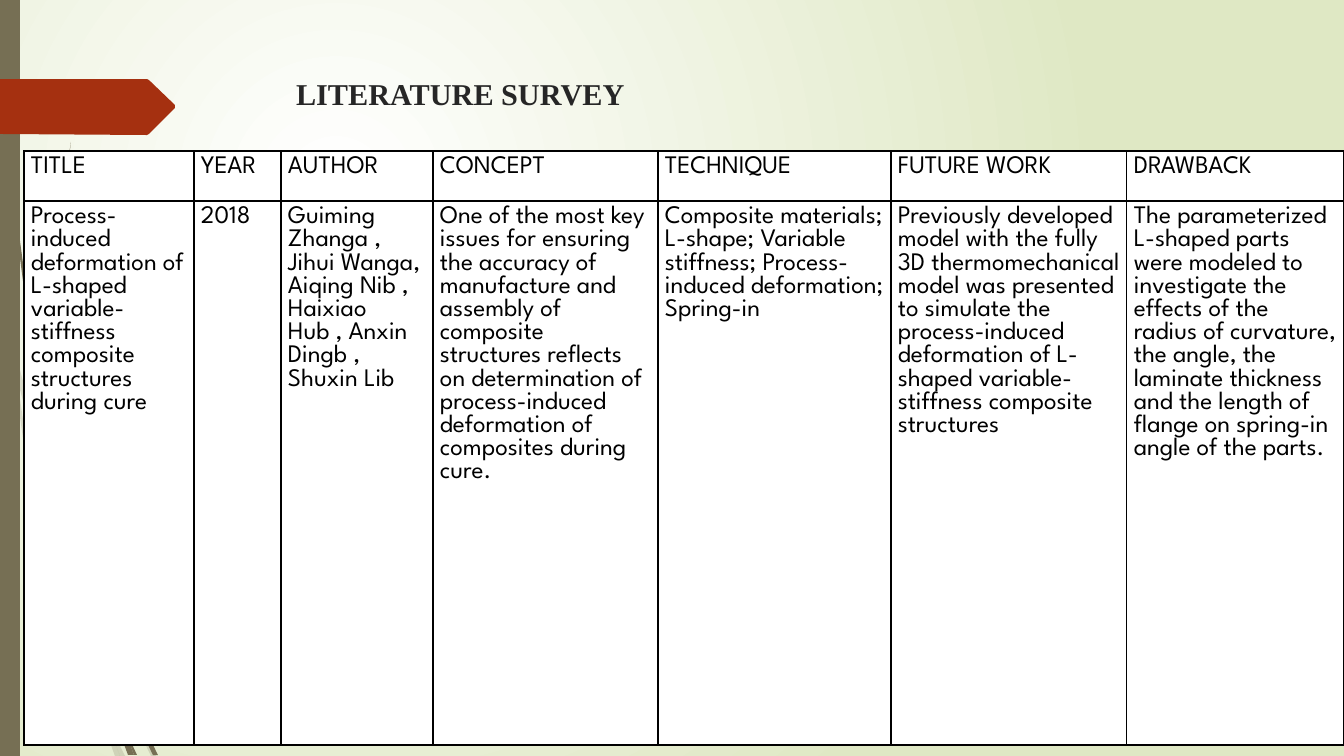
from dataclasses import dataclass

from lxml import etree
from pptx import Presentation
from pptx.dml.color import RGBColor
from pptx.enum.shapes import MSO_SHAPE
from pptx.enum.text import MSO_ANCHOR, MSO_AUTO_SIZE, PP_ALIGN
from pptx.oxml.ns import qn
from pptx.util import Pt

RECTANGLE = MSO_SHAPE.RECTANGLE
MIDDLE = MSO_ANCHOR.MIDDLE
LEFT = PP_ALIGN.LEFT
NO_FIT = MSO_AUTO_SIZE.NONE

TITLE = "LITERATURE SURVEY"
COLUMNS = [
    ("TITLE", 170, "Process-induced deformation of L-shaped variable-stiffness "
     "composite structures during cure"),
    ("YEAR", 87, "2018"),
    ("AUTHOR", 152, "Guiming Zhanga , Jihui Wanga, Aiqing Nib , Haixiao Hub , "
     "Anxin Dingb , Shuxin Lib"),
    ("CONCEPT", 225, "One of the most key issues for ensuring the accuracy of "
     "manufacture and assembly of composite structures reflects on determination "
     "of process-induced deformation of composites during cure."),
    ("TECHNIQUE", 233, "Composite materials; L-shape; Variable stiffness; "
     "Process-induced deformation; Spring-in"),
    ("FUTURE WORK", 236, "Previously developed model with the fully 3D "
     "thermomechanical model was presented to simulate the process-induced "
     "deformation of L-shaped variable-stiffness composite structures"),
    ("DRAWBACK", 217, "The parameterized L-shaped parts were modeled to "
     "investigate the effects of the radius of curvature, the angle, the laminate "
     "thickness and the length of flange on spring-in angle of the parts."),
]
ROW_HEIGHTS = [50, 544]

PALE_STALKS = [
    [(14, 348), (17, 379), (58, 526), (85, 604), (86, 591), (62, 524)],
    [(89, 601), (89, 615), (124, 700), (151, 756), (156, 756), (128, 698), (93, 612)],
    [(106, 717), (120, 756), (125, 756)],
    [(11, 353), (28, 474), (66, 626), (93, 699), (102, 720), (94, 688), (71, 624),
     (31, 473), (17, 379)],
    [(102, 720), (115, 756), (120, 756)],
    [(94, 688), (100, 713), (102, 720), (120, 756), (106, 717)],
]
DARK_STALKS = [
    [(3, 0), (7, 111), (17, 235), (33, 358), (56, 481), (57, 485), (55, 457),
     (36, 358), (19, 234), (8, 110), (4, 0)],
    [(111, 646), (112, 661), (133, 714), (153, 755), (158, 755), (137, 712), (114, 654)],
    [(71, 142), (62, 195), (56, 247), (52, 352), (55, 453), (60, 476), (58, 457),
     (54, 352), (58, 247), (64, 195)],
    [(123, 725), (134, 755), (137, 755)],
    [(118, 728), (128, 755), (132, 755)],
    [(111, 697), (117, 723), (118, 728), (131, 755), (134, 755), (123, 725), (117, 712)],
]
ARROW = [(0, 79), (147, 79), (149, 80), (175, 105), (175, 108), (149, 134),
         (147, 135), (0, 134)]


@dataclass(frozen=True)
class Theme:
    olive: str = "766F54"
    rust: str = "A53010"
    white: str = "FFFFFF"
    mist: str = "DFE8C4"
    ink: str = "000000"
    heading: str = "262626"
    title_font: str = "Times New Roman"
    body_font: str = "League Spartan"
    title_size: float = 21.6
    body_size: float = 18


THEME = Theme()
SCALE = 12192000 / 1344


def px(length):
    return round(length * SCALE)


def rgb(code):
    return RGBColor.from_string(code)


def add_span(para, text, font, size, color, bold=False):
    span = para.add_run()
    span.text = text
    span.font.name = font
    span.font.size = Pt(size)
    span.font.bold = bold
    span.font.color.rgb = rgb(color)


def paint(shape, color, opacity=100):
    shape.shadow.inherit = False
    shape.fill.solid()
    shape.fill.fore_color.rgb = rgb(color)
    shape.line.fill.background()
    if opacity < 100:
        tint = shape.fill._xPr.find(".//" + qn("a:srgbClr"))
        etree.SubElement(tint, qn("a:alpha"), val=str(opacity * 1000))


def add_outline(page, points, color, opacity=100):
    builder = page.shapes.build_freeform(*points[0], scale=SCALE)
    builder.add_line_segments(points[1:], close=True)
    paint(builder.convert_to_shape(), color, opacity)


def fill_background(page):
    fill = page.background.fill
    fill.gradient()
    for stop, color, position in zip(fill.gradient_stops, (THEME.white, THEME.mist), (0, 1)):
        stop.color.rgb = rgb(color)
        stop.position = position
    linear = page._element.find(".//" + qn("a:lin"))
    gradient = linear.getparent()
    gradient.remove(linear)
    radial = etree.SubElement(gradient, qn("a:path"), path="circle")
    etree.SubElement(radial, qn("a:fillToRect"), l="50000", t="50000", r="100000", b="100000")


def add_borders(cell):
    properties = cell._tc.get_or_add_tcPr()
    for side in ("a:lnL", "a:lnR", "a:lnT", "a:lnB"):
        line = etree.SubElement(properties, qn(side), w=str(Pt(1)))
        solid = etree.SubElement(line, qn("a:solidFill"))
        etree.SubElement(solid, qn("a:srgbClr"), val=THEME.ink)


def add_title(page):
    box = page.shapes.title
    box.left, box.top, box.width, box.height = map(px, (286, 69, 983, 49))
    frame = box.text_frame
    frame.word_wrap = True
    frame.auto_size = NO_FIT
    frame.vertical_anchor = MIDDLE
    para = frame.paragraphs[0]
    para.alignment = LEFT
    add_span(para, TITLE, THEME.title_font, THEME.title_size, THEME.heading, True)


def add_survey(page):
    headings, widths, details = zip(*COLUMNS)
    bounds = map(px, (24, 151, sum(widths), sum(ROW_HEIGHTS)))
    table = page.shapes.add_table(len(ROW_HEIGHTS), len(COLUMNS), *bounds).table
    for column, width in zip(table.columns, widths):
        column.width = px(width)
    for row, height, texts in zip(table.rows, ROW_HEIGHTS, (headings, details)):
        row.height = px(height)
        for cell, text in zip(row.cells, texts):
            add_borders(cell)
            cell.fill.solid()
            cell.fill.fore_color.rgb = rgb(THEME.white)
            cell.margin_left = cell.margin_right = px(7)
            cell.margin_top = cell.margin_bottom = px(5)
            add_span(cell.text_frame.paragraphs[0], text, THEME.body_font,
                     THEME.body_size, THEME.ink)


def main():
    deck = Presentation()
    deck.slide_width, deck.slide_height = px(1344), px(756)
    page = deck.slides.add_slide(deck.slide_layouts[5])
    fill_background(page)
    for points in PALE_STALKS:
        add_outline(page, points, THEME.olive, 20)
    for points in DARK_STALKS:
        add_outline(page, points, THEME.olive)
    paint(page.shapes.add_shape(RECTANGLE, 0, 0, px(20), px(756)), THEME.olive)
    add_outline(page, ARROW, THEME.rust)
    add_title(page)
    add_survey(page)
    deck.save("out.pptx")


if __name__ == "__main__":
    main()
